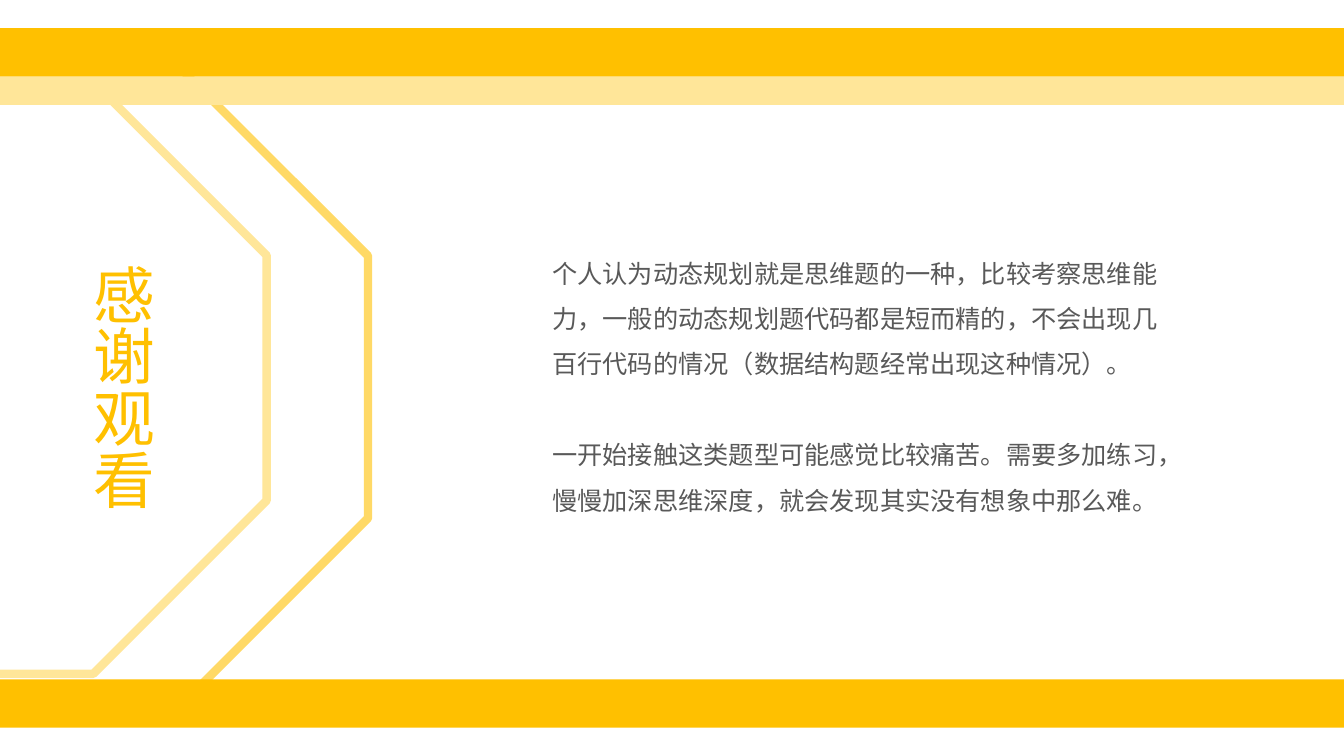
from pptx import Presentation
from pptx.dml.color import RGBColor
from pptx.enum.shapes import MSO_SHAPE
from pptx.oxml.ns import qn
from pptx.util import Inches, Pt

W, H = 13.33, 7.5
GOLD, AMBER, CREAM, GREY = "FFC000", "FFD966", "FFE699", "595959"
BAR_H = 0.48
TITLE = "感谢观看"
REMARKS = [
    "个人认为动态规划就是思维题的一种，比较考察思维能力，一般的动态规划题代码都是短而精的，"
    "不会出现几百行代码的情况（数据结构题经常出现这种情况）。",
    "一开始接触这类题型可能感觉比较痛苦。需要多加练习，慢慢加深思维深度，"
    "就会发现其实没有想象中那么难。",
]


def rgb(code):
    """Turn a hex string into a colour."""
    return RGBColor.from_string(code)


def add_shape(s, kind, box, fill=None, line=None, width=6):
    """Add a preset shape with an optional fill and outline."""
    sp = s.shapes.add_shape(kind, *map(Inches, box))
    sp.shadow.inherit = False
    if fill:
        sp.fill.solid()
        sp.fill.fore_color.rgb = rgb(fill)
    else:
        sp.fill.background()
    if line:
        sp.line.color.rgb = rgb(line)
        sp.line.width = Pt(width)
    else:
        sp.line.fill.background()
    return sp


def add_text(s, box, paragraphs, size, color, font, spacing=1.0, gap=0, vertical=False):
    """Add a wrapped text box with a gap in points between paragraphs."""
    sp = s.shapes.add_textbox(*map(Inches, box))
    tf = sp.text_frame
    tf.word_wrap = True
    if vertical:
        tf._txBody.bodyPr.set("vert", "eaVert")
    for i, text in enumerate(paragraphs):
        p = tf.paragraphs[0] if i == 0 else tf.add_paragraph()
        p.line_spacing = spacing
        p.space_before = Pt(gap if i else 0)
        r = p.add_run()
        r.text = text
        r.font.size = Pt(size)
        r.font.color.rgb = rgb(color)
        r.font.name = font
        ea = r._r.get_or_add_rPr().makeelement(qn("a:ea"), {"typeface": font})
        r._r.rPr.find(qn("a:latin")).addnext(ea)
    return sp


def add_octagon(s, center_x, center_y, side, color):
    """Add an outlined octagon around a centre point."""
    box = (center_x - side / 2, center_y - side / 2, side, side)
    return add_shape(s, MSO_SHAPE.OCTAGON, box, line=color)


def add_bars(s, x, y, w, h):
    """Add the top double bar and the bottom bar inside the given box."""
    for top, height, color in [
        (y, BAR_H, GOLD),
        (y + BAR_H, 0.28, CREAM),
        (y + h - BAR_H, BAR_H, GOLD),
    ]:
        add_shape(s, MSO_SHAPE.RECTANGLE, (x, top, w, height), fill=color)


def add_closing_slide(prs):
    """Build the closing slide with its title and remarks."""
    s = prs.slides.add_slide(prs.slide_layouts[6])
    add_octagon(s, 0.51, 3.84, 6.28, AMBER)
    add_text(s, (5.38, 2.36, 6.42, 2.77), REMARKS, 18, GREY,
             "Noto Sans CJK SC", spacing=1.5, gap=32.5)
    add_bars(s, 0, 0.28, W, H - 0.56)
    add_text(s, (0.69, 2.52, 0.94, 2.74), [TITLE], 44, GOLD,
             "Noto Sans CJK JP", vertical=True)
    add_octagon(s, -0.29, 3.75, 5.87, CREAM)


def main():
    """Create and save the presentation."""
    prs = Presentation()
    prs.slide_width, prs.slide_height = Inches(W), Inches(H)
    add_closing_slide(prs)
    prs.save("out.pptx")


if __name__ == "__main__":
    main()
